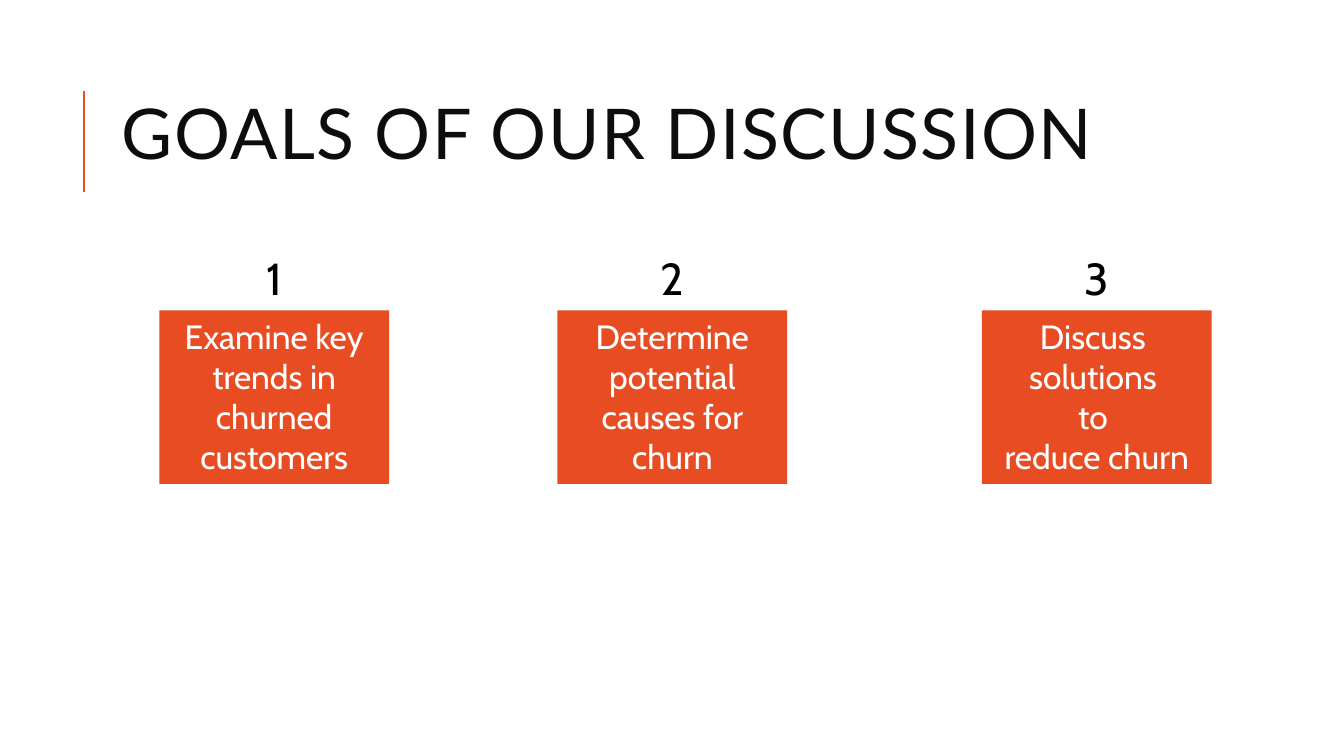
from dataclasses import dataclass

from lxml.etree import SubElement
from pptx import Presentation
from pptx.dml.color import RGBColor
from pptx.enum.shapes import MSO_CONNECTOR, MSO_SHAPE
from pptx.enum.text import MSO_ANCHOR, PP_ALIGN
from pptx.oxml.ns import qn
from pptx.util import Pt


@dataclass(frozen=True)
class Theme:
    accent: RGBColor = RGBColor(0xE8, 0x4C, 0x22)
    title_ink: RGBColor = RGBColor(0x0D, 0x0D, 0x0D)
    number_ink: RGBColor = RGBColor(0, 0, 0)
    goal_ink: RGBColor = RGBColor(0xFF, 0xFF, 0xFF)
    title_font: str = "Lato"
    body_font: str = "Cabin"
    title_size: int = 50
    number_size: int = 32
    goal_size: int = 24


THEME = Theme()

# Left edge of each box and the goal it holds
GOALS = [
    (113.76, "Examine key trends in churned customers"),
    (398.16, "Determine potential causes for churn"),
    (701.28, "Discuss \nsolutions \nto \nreduce churn"),
]
BOX_TOP, BOX_WIDTH, BOX_HEIGHT = 221.76, 164.16, 123.84
NUMBER_WIDTH, NUMBER_HEIGHT = 64, 46.08


def write_text(shape, text, *, size, color, font=THEME.body_font,
               align=PP_ALIGN.CENTER, anchor=MSO_ANCHOR.TOP,
               line_spacing=1.0, letter_spacing=0):
    frame = shape.text_frame
    frame.word_wrap = True
    frame.vertical_anchor = anchor
    para = frame.paragraphs[0]
    para.alignment = align
    para.line_spacing = line_spacing
    for index, line in enumerate(text.split("\n")):
        if index:
            para.add_line_break()
        span = para.add_run()
        span.text = line
        span.font.name = font
        span.font.size = Pt(size)
        span.font.color.rgb = color
        if letter_spacing:
            span.font._element.set("spc", str(letter_spacing * 100))


def add_title(page, text):
    box = page.shapes.add_textbox(Pt(79.92), Pt(46.08), Pt(756.72), Pt(106.56))
    write_text(box, text, size=THEME.title_size, color=THEME.title_ink,
               font=THEME.title_font, align=PP_ALIGN.LEFT,
               anchor=MSO_ANCHOR.MIDDLE, line_spacing=0.8, letter_spacing=1)


def add_title_rule(page):
    rule = page.shapes.add_connector(
        MSO_CONNECTOR.STRAIGHT, Pt(60), Pt(136.8), Pt(60), Pt(64.8))
    rule.line.color.rgb = THEME.accent
    rule.line.width = Pt(1.5)
    SubElement(rule._element.spPr, qn("a:effectLst"))


def add_goal(page, left, text):
    box = page.shapes.add_shape(MSO_SHAPE.RECTANGLE, Pt(left), Pt(BOX_TOP),
                                Pt(BOX_WIDTH), Pt(BOX_HEIGHT))
    box.shadow.inherit = False
    box.fill.solid()
    box.fill.fore_color.rgb = THEME.accent
    box.line.fill.background()
    write_text(box, text, size=THEME.goal_size, color=THEME.goal_ink)


def add_number(page, box_left, number):
    left = box_left + (BOX_WIDTH - NUMBER_WIDTH) / 2
    box = page.shapes.add_textbox(Pt(left), Pt(BOX_TOP - NUMBER_HEIGHT),
                                  Pt(NUMBER_WIDTH), Pt(NUMBER_HEIGHT))
    write_text(box, str(number), size=THEME.number_size,
               color=THEME.number_ink)


def main():
    deck = Presentation()
    deck.slide_width, deck.slide_height = Pt(960), Pt(540)
    page = deck.slides.add_slide(deck.slide_layouts[6])

    # Heading
    add_title_rule(page)
    add_title(page, "GOALS OF OUR DISCUSSION")

    # Numbered goals
    for number, (left, text) in enumerate(GOALS, start=1):
        add_goal(page, left, text)
        add_number(page, left, number)

    deck.save("out.pptx")


if __name__ == "__main__":
    main()
